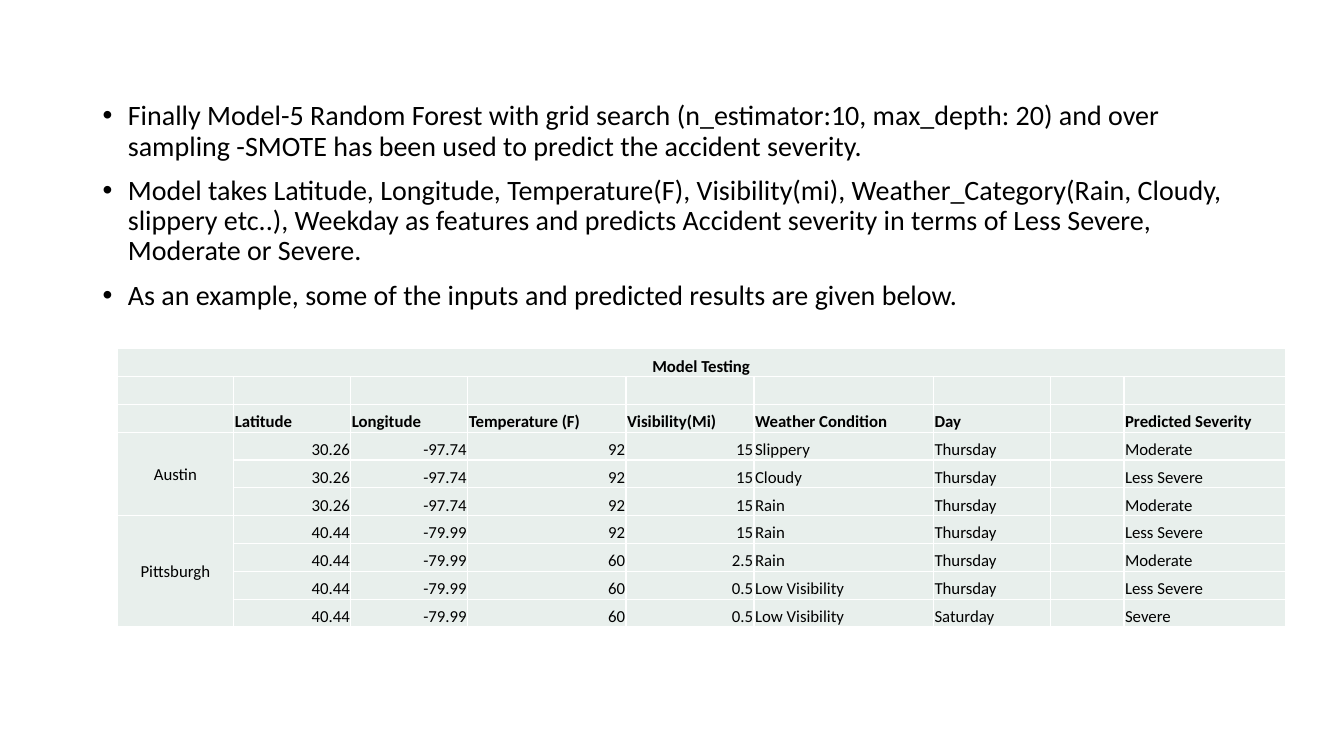
from lxml.etree import SubElement
from pptx import Presentation
from pptx.dml.color import RGBColor
from pptx.enum.text import MSO_ANCHOR as Anchor, PP_ALIGN as Align
from pptx.oxml.ns import qn
from pptx.util import Inches, Pt

FONT = "Calibri"
BULLETS = [
    "Finally Model-5 Random Forest with grid search (n_estimator:10, max_depth: 20) and over "
    "sampling -SMOTE has been used to predict the accident severity.",
    "Model takes Latitude, Longitude, Temperature(F), Visibility(mi), Weather_Category(Rain, Cloudy, "
    "slippery etc..), Weekday as features and predicts Accident severity in terms of Less Severe, "
    "Moderate or Severe.",
    "As an example, some of the inputs and predicted results are given below.",
]
HEADERS = ["", "Latitude", "Longitude", "Temperature (F)", "Visibility(Mi)",
           "Weather Condition", "Day", "", "Predicted Severity"]
# Per city: latitude, longitude, then temperature, visibility, weather, day, severity
CITIES = {
    "Austin": ("30.26", "-97.74", [
        ("92", "15", "Slippery", "Thursday", "Moderate"),
        ("92", "15", "Cloudy", "Thursday", "Less Severe"),
        ("92", "15", "Rain", "Thursday", "Moderate"),
    ]),
    "Pittsburgh": ("40.44", "-79.99", [
        ("92", "15", "Rain", "Thursday", "Less Severe"),
        ("60", "2.5", "Rain", "Thursday", "Moderate"),
        ("60", "0.5", "Low Visibility", "Thursday", "Less Severe"),
        ("60", "0.5", "Low Visibility", "Saturday", "Severe"),
    ]),
}
COLUMN_WIDTHS = [1.16, 1.16, 1.16, 1.57, 1.27, 1.78, 1.16, 0.73, 1.6]
TABLE_HEIGHT = 2.76
HEADER_ROW = 2
NUMBER_COLUMNS = range(1, 5)


def color(hex_string):
    return RGBColor.from_string(hex_string)


def add_borders(cell, hex_string, width):
    properties = cell._tc.get_or_add_tcPr()
    for position, side in enumerate(("a:lnL", "a:lnR", "a:lnT", "a:lnB")):
        line = SubElement(properties, qn(side), w=str(Pt(width)))
        SubElement(SubElement(line, qn("a:solidFill")), qn("a:srgbClr"), val=hex_string)
        properties.insert(position, line)


presentation = Presentation()
presentation.slide_width = Inches(13.33)
presentation.slide_height = Inches(7.5)
slide = presentation.slides.add_slide(presentation.slide_layouts[6])

# Bullets
body = slide.shapes.add_textbox(Inches(0.92), Inches(0.51), Inches(11.5), Inches(6.24))
frame = body.text_frame
frame.word_wrap = True
frame.margin_top = Inches(0.5)
for index, text in enumerate(BULLETS):
    paragraph = frame.add_paragraph() if index else frame.paragraphs[0]
    paragraph.text = text
    paragraph.line_spacing = 0.9
    paragraph.space_before = Pt(10 if index else 0)
    paragraph.font.size = Pt(20)
    paragraph.font.name = FONT
    paragraph.font.color.rgb = color("000000")
    properties = paragraph._p.get_or_add_pPr()
    properties.set("marL", str(Inches(0.25)))
    properties.set("indent", str(-Inches(0.25)))
    bullet_font = SubElement(properties, qn("a:buFont"), typeface="Arial")
    bullet = SubElement(properties, qn("a:buChar"), char="•")
    properties.find(qn("a:defRPr")).addprevious(bullet_font)
    bullet_font.addnext(bullet)

# Table contents
rows = [["Model Testing"] + [""] * 8, [""] * 9, HEADERS]
city_spans = []
for city, (latitude, longitude, tests) in CITIES.items():
    city_spans.append((len(rows), len(rows) + len(tests) - 1))
    for index, (temperature, visibility, weather, day, severity) in enumerate(tests):
        rows.append(["" if index else city, latitude, longitude, temperature,
                     visibility, weather, day, "", severity])

# Table
table = slide.shapes.add_table(
    len(rows), len(HEADERS), Inches(1.16), Inches(3.46),
    Inches(sum(COLUMN_WIDTHS)), Inches(TABLE_HEIGHT)).table
for column, width in zip(table.columns, COLUMN_WIDTHS):
    column.width = Inches(width)
for row in table.rows:
    row.height = Inches(TABLE_HEIGHT / len(rows))

for row_index, values in enumerate(rows):
    for column_index, value in enumerate(values):
        cell = table.cell(row_index, column_index)
        is_city = row_index > HEADER_ROW and column_index == 0
        cell.fill.solid()
        cell.fill.fore_color.rgb = color("E8EFEC")
        add_borders(cell, "FFFFFF", 1)
        cell.margin_left = cell.margin_right = cell.margin_top = Inches(0.01)
        cell.margin_bottom = 0
        cell.vertical_anchor = Anchor.MIDDLE if is_city else Anchor.BOTTOM
        cell.text = value
        paragraph = cell.text_frame.paragraphs[0]
        paragraph.font.size = Pt(12)
        paragraph.font.name = FONT
        paragraph.font.bold = row_index <= HEADER_ROW
        paragraph.font.color.rgb = color("000000")
        if row_index == 0 or is_city:
            paragraph.alignment = Align.CENTER
        elif row_index > HEADER_ROW and column_index in NUMBER_COLUMNS:
            paragraph.alignment = Align.RIGHT
        else:
            paragraph.alignment = Align.LEFT

table.cell(0, 0).merge(table.cell(0, len(HEADERS) - 1))
for first, last in city_spans:
    table.cell(first, 0).merge(table.cell(last, 0))

presentation.save("out.pptx")
